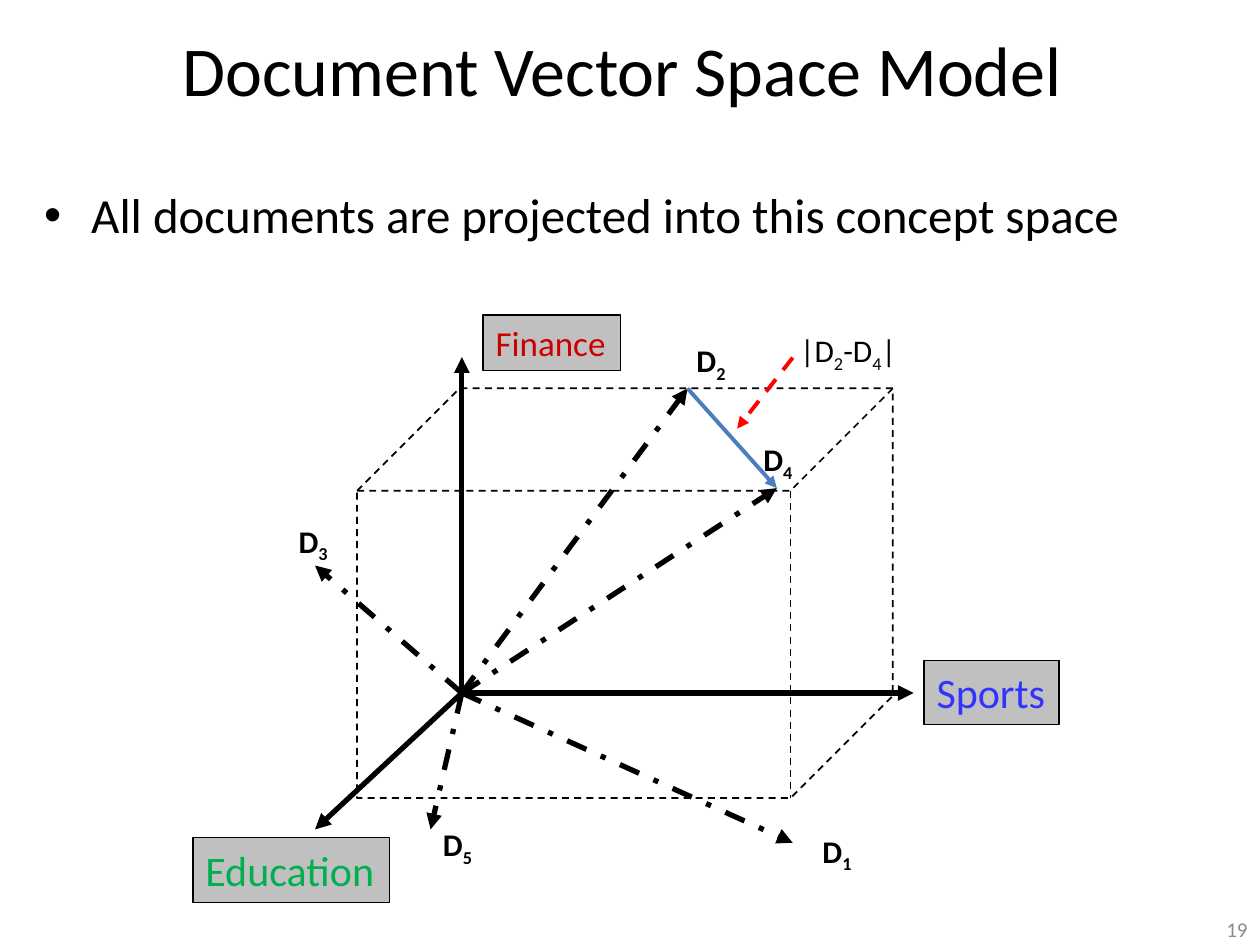
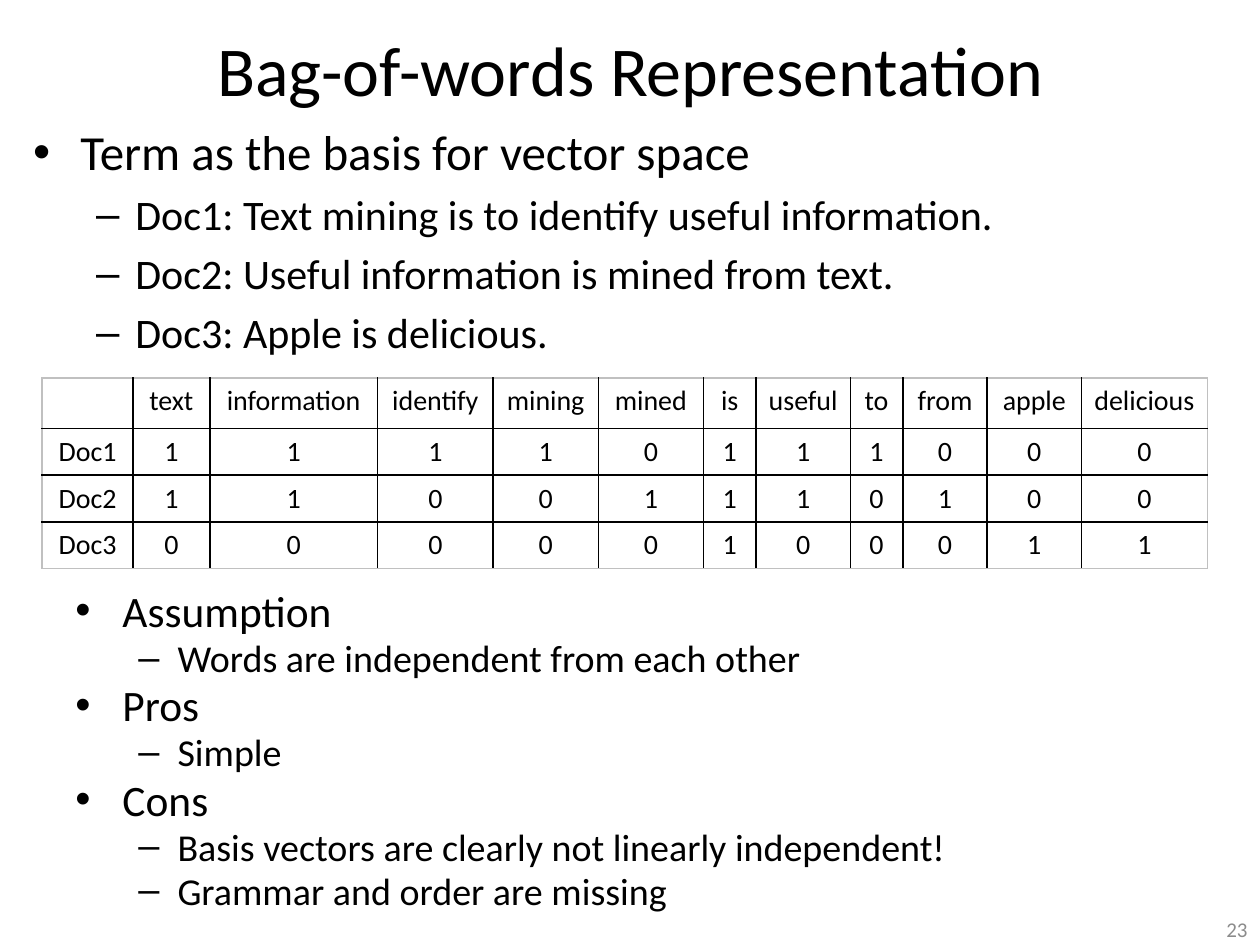
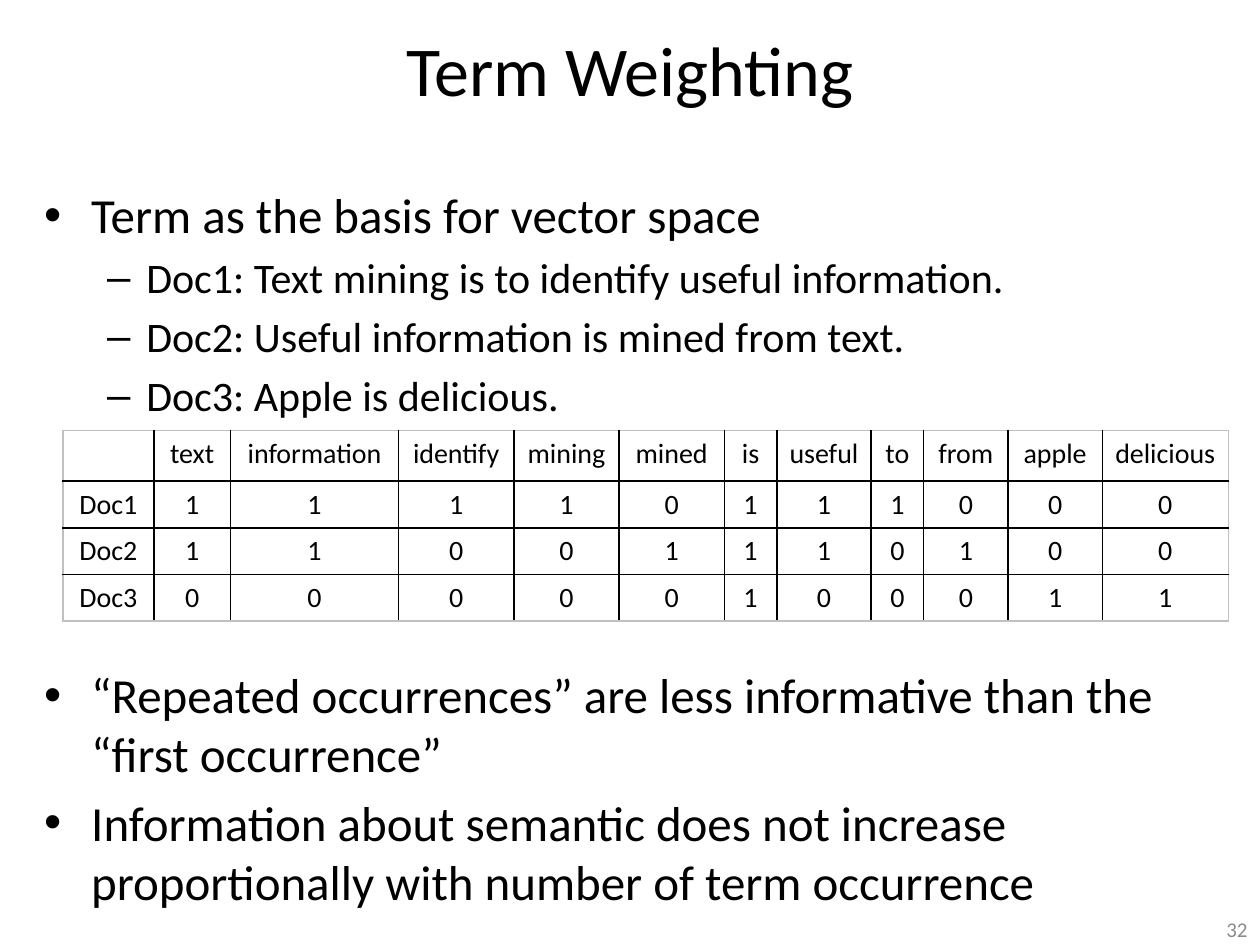
from lxml.etree import SubElement
from pptx import Presentation
from pptx.dml.color import RGBColor
from pptx.enum.dml import MSO_LINE_DASH_STYLE as Dash
from pptx.enum.shapes import MSO_CONNECTOR, MSO_SHAPE
from pptx.enum.text import MSO_ANCHOR as Anchor, MSO_AUTO_SIZE as AutoSize, PP_ALIGN as Align
from pptx.oxml.ns import qn
from pptx.util import Cm, Pt

# Shared look
FONT = "Calibri"
BLACK, GREY, RULE, NUMBER = "000000", "C0C0C0", "C0C0C0", "8C8C8C"
BULLETS = [("•", 0.95, 0.95), ("–", 2.06, 0.79)]  # mark, left margin, hanging indent

# Content used on two slides
DOCUMENTS = [
    (0, "Term as the basis for vector space"),
    (1, "Doc1: Text mining is to identify useful information."),
    (1, "Doc2: Useful information is mined from text."),
    (1, "Doc3: Apple is delicious."),
]
TERMS = ["text", "information", "identify", "mining", "mined", "is",
         "useful", "to", "from", "apple", "delicious"]
COUNTS = {"Doc1": "11110111000", "Doc2": "11001110100", "Doc3": "00000100011"}
COLUMN_WIDTHS = [1.83, 1.55, 3.38, 2.33, 2.12, 2.12, 1.06, 1.9, 1.06, 1.7, 1.9, 2.54]


def color(value):
    return RGBColor.from_string(value)


def style(font, size, value=BLACK, bold=False):
    font.name, font.size, font.bold = FONT, Pt(size), bold
    font.color.rgb = color(value)


def add_box(page, place, text, size, value=BLACK, align=Align.LEFT, anchor=Anchor.MIDDLE):
    box = page.shapes.add_textbox(*map(Cm, place))
    frame = box.text_frame
    frame.word_wrap, frame.vertical_anchor = True, anchor
    frame.text = text
    para = frame.paragraphs[0]
    para.alignment = align
    style(para.runs[0].font, size, value)


def add_page(deck, title, number):
    page = deck.slides.add_slide(deck.slide_layouts[6])
    add_box(page, (0, 0, 25.4, 2.75), title, 40, align=Align.CENTER)
    add_box(page, (19.47, 18.41, 5.93, 0.64), number, 12, NUMBER, Align.RIGHT)
    return page


def add_bullets(page, place, items, sizes=(28, 24), spacing=None):
    frame = page.shapes.add_textbox(*map(Cm, place)).text_frame
    frame.word_wrap = True
    for index, (level, text) in enumerate(items):
        para = frame.paragraphs[0] if index == 0 else frame.add_paragraph()
        para.text, para.level, para.line_spacing = text, level, spacing
        style(para.runs[0].font, sizes[level])
        mark, margin, hanging = BULLETS[level]
        props = para._p.get_or_add_pPr()
        props.set("marL", str(Cm(margin)))
        props.set("indent", str(-Cm(hanging)))
        before = SubElement(props, qn("a:spcBef"))
        SubElement(before, qn("a:spcPct"), val="20000")
        SubElement(props, qn("a:buFont"), typeface="Arial")
        SubElement(props, qn("a:buChar"), char=mark)


# Diagram parts
def add_arrow(page, start, end, value=BLACK, width=3, dash=None):
    arrow = page.shapes.add_connector(MSO_CONNECTOR.STRAIGHT, *map(Cm, start + end))
    arrow.line.color.rgb = color(value)
    arrow.line.width = Pt(width)
    if dash:
        arrow.line.dash_style = dash
    SubElement(arrow.line._ln, qn("a:tailEnd"), type="triangle")
    SubElement(arrow._element.spPr, qn("a:effectLst"))


def add_cube(page, place):
    cube = page.shapes.add_shape(MSO_SHAPE.CUBE, *map(Cm, place))
    cube.adjustments[0] = 0.25
    cube.shadow.inherit = False
    cube.fill.background()
    cube.line.color.rgb = color(BLACK)
    cube.line.width = Pt(1)
    cube.line.dash_style = Dash.DASH


def add_axis_name(page, place, text, size, value):
    box = page.shapes.add_shape(MSO_SHAPE.RECTANGLE, *map(Cm, place))
    box.shadow.inherit = False
    box.fill.solid()
    box.fill.fore_color.rgb = color(GREY)
    box.line.color.rgb = color(BLACK)
    box.line.width = Pt(0.75)
    frame = box.text_frame
    frame.word_wrap, frame.auto_size = False, AutoSize.SHAPE_TO_FIT_TEXT
    frame.vertical_anchor = Anchor.TOP
    frame.text = text
    para = frame.paragraphs[0]
    para.alignment = Align.LEFT
    style(para.runs[0].font, size, value)


def add_vector_name(page, left, top, text, width=1.17, bold=True):
    """Every digit of the name is set as a subscript."""
    frame = page.shapes.add_textbox(Cm(left), Cm(top), Cm(width), Cm(1.02)).text_frame
    frame.word_wrap = False
    for letter in text:
        span = frame.paragraphs[0].add_run()
        span.text = letter
        style(span.font, 18, bold=bold)
        if letter.isdigit():
            span._r.get_or_add_rPr().set("baseline", "-25000")


# Term table
def set_border(cell, side, value):
    line = SubElement(cell._tc.get_or_add_tcPr(), qn("a:" + side), w=str(Pt(1)))
    fill = SubElement(line, qn("a:solidFill"))
    SubElement(fill, qn("a:srgbClr"), val=value)


def add_term_table(page, left, top):
    rows = [["", *TERMS]] + [[name, *counts] for name, counts in COUNTS.items()]
    last_row, last_column = len(rows) - 1, len(TERMS)
    table = page.shapes.add_table(len(rows), len(rows[0]), Cm(left), Cm(top),
                                  Cm(sum(COLUMN_WIDTHS)), Cm(3.84)).table
    table.first_row = table.horz_banding = False
    for column, width in zip(table.columns, COLUMN_WIDTHS):
        column.width = Cm(width)
    for r, texts in enumerate(rows):
        table.rows[r].height = Cm(0.94 if r else 1.02)
        for c, text in enumerate(texts):
            cell = table.cell(r, c)
            outer = {"lnL": c == 0, "lnR": c == last_column,
                     "lnT": r == 0, "lnB": r == last_row}
            for side, at_edge in outer.items():
                set_border(cell, side, RULE if at_edge else BLACK)
            cell.fill.background()
            para = cell.text_frame.paragraphs[0]
            para.text, para.alignment = text, Align.CENTER
            style(para.font, 16)
            for span in para.runs:
                style(span.font, 16)


# Slides
def vector_space(deck):
    page = add_page(deck, "Document Vector Space Model ", "19")
    add_bullets(page, (0.64, 3.6, 24.13, 14.6),
                [(0, "All documents are projected into this concept space")])
    add_cube(page, (7.2, 7.83, 10.8, 8.26))
    origin = (9.31, 13.97)
    for end in [(6.35, 16.72), (18.42, 13.97), (9.31, 7.2)]:
        add_arrow(page, origin, end)
    add_axis_name(page, (18.63, 13.31, 2.72, 1.3), "Sports", 24, "3333FF")
    add_axis_name(page, (3.89, 16.89, 3.96, 1.3), "Education", 24, "00B050")
    add_axis_name(page, (9.74, 6.35, 2.77, 1.12), "Finance", 20, "CC0000")

    d2, d4 = (13.86, 7.83), (15.66, 9.84)
    vectors = [
        ("D4", d4, (15.14, 8.74)),
        ("D5", (8.68, 16.72), (8.68, 16.51)),
        ("D2", d2, (13.79, 6.76)),
        ("D1", (15.98, 16.99), (16.33, 16.64)),
        ("D3", (6.35, 11.4), (5.77, 10.39)),
    ]
    for name, tip, name_place in vectors:
        add_arrow(page, origin, tip, dash=Dash.DASH_DOT)
        add_vector_name(page, *name_place, name)

    # Distance between two documents
    add_arrow(page, d2, d4, "4B7EBC", 2.25)
    add_vector_name(page, 15.88, 6.55, "|D2-D4|", 2.54, bold=False)
    add_arrow(page, (15.98, 7.21), (14.86, 8.64), "FF0000", 2.25, Dash.DASH)


def bag_of_words(deck):
    page = add_page(deck, "Bag-of-words Representation", "23")
    add_bullets(page, (0.42, 2.33, 24.55, 4.87), DOCUMENTS)
    add_term_table(page, 0.85, 7.62)
    add_bullets(page, (1.27, 11.85, 22.86, 7.2), [
        (0, "Assumption"),
        (1, "Words are independent from each other"),
        (0, "Pros"),
        (1, "Simple"),
        (0, "Cons"),
        (1, "Basis vectors are clearly not linearly independent!"),
        (1, "Grammar and order are missing"),
    ], sizes=(24.8, 21.7), spacing=0.8)


def term_weighting(deck):
    page = add_page(deck, "Term Weighting", "32")
    add_bullets(page, (0.64, 3.6, 24.13, 5), DOCUMENTS)
    add_bullets(page, (0.64, 13.28, 24.13, 5), [
        (0, "“Repeated occurrences” are less informative than the “first occurrence”"),
        (0, "Information about semantic does not increase proportionally "
            "with number of term occurrence"),
    ])
    add_term_table(page, 1.27, 8.68)


def main():
    deck = Presentation()
    deck.slide_width, deck.slide_height = Cm(25.4), Cm(19.05)
    vector_space(deck)
    bag_of_words(deck)
    term_weighting(deck)
    deck.save("out.pptx")


if __name__ == "__main__":
    main()
